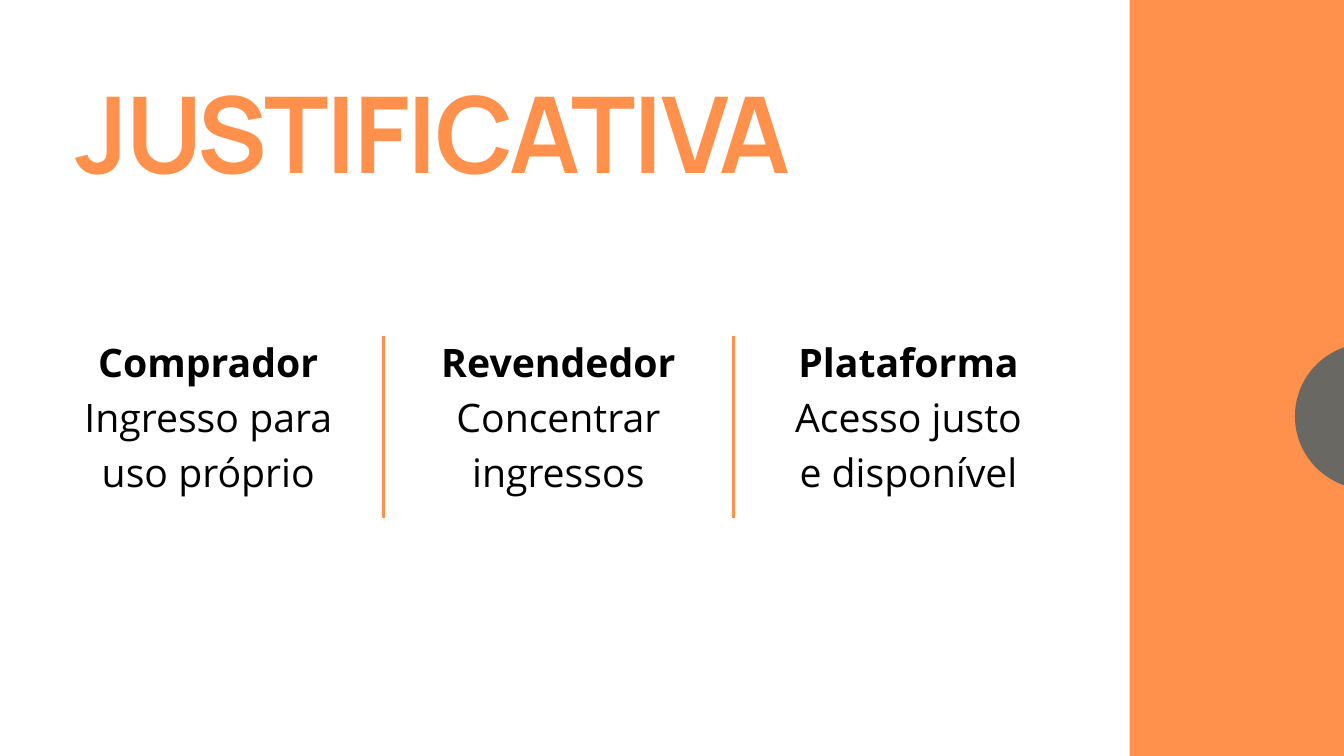
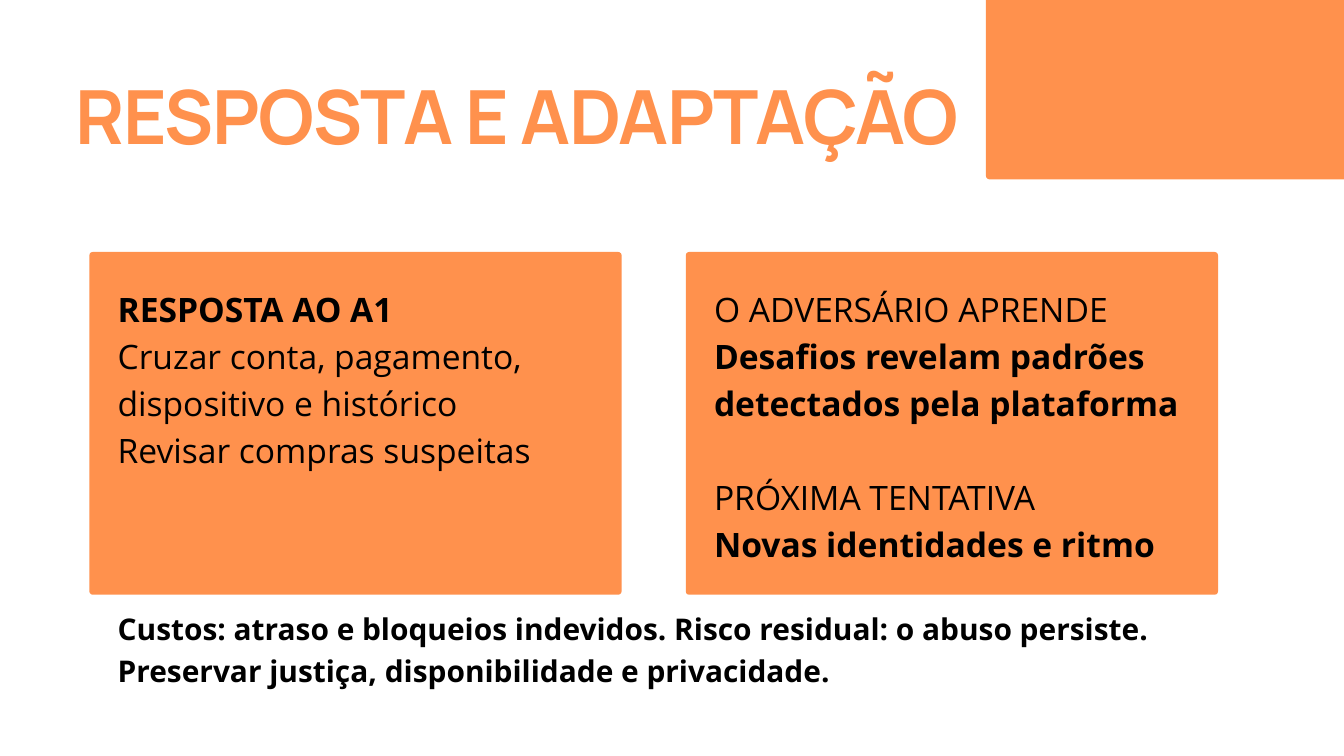
from pptx import Presentation
from pptx.dml.color import RGBColor
from pptx.enum.shapes import MSO_CONNECTOR, MSO_SHAPE
from pptx.enum.text import MSO_ANCHOR, PP_ALIGN
from pptx.oxml.ns import qn
from pptx.util import Inches, Pt
from lxml import etree

STRAIGHT = MSO_CONNECTOR.STRAIGHT
OVAL, ROUNDED = MSO_SHAPE.OVAL, MSO_SHAPE.ROUNDED_RECTANGLE
TOP, MIDDLE = MSO_ANCHOR.TOP, MSO_ANCHOR.MIDDLE
LEFT, CENTER = PP_ALIGN.LEFT, PP_ALIGN.CENTER

COLORS = {"accent": "FF914D", "dot": "696863", "text": "000000", "background": "FFFFFF"}
TITLE_FONT, BODY_FONT = "Manrope", "Open Sans"
TITLE_LEFT, TEXT_WIDTH = 1.12, 14.38
COLUMN_WIDTH, COLUMN_STEP = 3.96, 5.21
CARD_LEFT, CARD_STEP, CARD_PADDING = 1.33, 8.875, 0.42

COLUMNS = [
    [("Comprador", True), ("Ingresso para", False), ("uso próprio", False)],
    [("Revendedor", True), ("Concentrar ingressos", False)],
    [("Plataforma", True), ("Acesso justo", False), ("e disponível", False)],
]
CARDS = [
    [[("RESPOSTA AO A1", True), ("Cruzar conta, pagamento,", False),
      ("dispositivo e histórico", False), ("Revisar compras suspeitas", False)]],
    [[("O ADVERSÁRIO APRENDE", False), ("Desafios revelam padrões", True),
      ("detectados pela plataforma", True)],
     [("PRÓXIMA TENTATIVA", False), ("Novas identidades e ritmo", True)]],
]
COSTS = [
    ("Custos: atraso e bloqueios indevidos. Risco residual: o abuso persiste.", True),
    ("Preservar justiça, disponibilidade e privacidade.", True),
]


def color(name):
    """Return the palette color with the given name."""
    return RGBColor.from_string(COLORS[name])


def apply_format(target, values):
    """Set each named attribute on the target."""
    for name, value in values.items():
        setattr(target, name, value)


def add_blank_slide(presentation):
    """Add a blank slide with the shared background."""
    slide = presentation.slides.add_slide(presentation.slide_layouts[6])
    slide.background.fill.solid()
    slide.background.fill.fore_color.rgb = color("background")
    return slide


def add_filled_shape(slide, kind, box, fill):
    """Add a preset shape with a plain fill and no line."""
    shape = slide.shapes.add_shape(kind, *map(Inches, box))
    shape.shadow.inherit = False
    shape.fill.solid()
    shape.fill.fore_color.rgb = color(fill)
    shape.line.fill.background()
    return shape


def add_panel(slide, box, radius):
    """Add an accent panel whose corners have the given radius in inches."""
    panel = add_filled_shape(slide, ROUNDED, box, "accent")
    panel.adjustments[0] = radius / min(box[2:])


def add_text(slide, box, groups, size, spacing, font=BODY_FONT, fill="text",
             align=LEFT, anchor=TOP, inset=0, tracking=0):
    """Add groups of (text, bold) lines, one line height apart."""
    frame = slide.shapes.add_textbox(*map(Inches, box)).text_frame
    margins = {f"margin_{side}": Inches(inset) for side in ("left", "top", "right", "bottom")}
    apply_format(frame, {"word_wrap": True, "vertical_anchor": anchor, **margins})
    paragraph = frame.paragraphs[0]
    for group_index, group in enumerate(groups):
        for line_index, (text, bold) in enumerate(group):
            if group_index or line_index:
                paragraph = frame.add_paragraph()
            apply_format(paragraph, {"alignment": align, "line_spacing": Pt(spacing)})
            if group_index and not line_index:
                paragraph.space_before = Pt(spacing)
            run = paragraph.add_run()
            run.text = text
            apply_format(run.font, {"name": font, "size": Pt(size), "bold": bold})
            run.font.color.rgb = color(fill)
            if tracking:
                run._r.get_or_add_rPr().set("spc", str(round(tracking * 100)))


def add_title(slide, text, top, height, size, spacing, tracking):
    """Add a slide title in the shared title style."""
    add_text(slide, (TITLE_LEFT, top, TEXT_WIDTH, height), [[(text, True)]], size, spacing,
             font=TITLE_FONT, fill="accent", tracking=tracking)


def add_divider(slide, x, top, bottom):
    """Add a vertical accent line."""
    line = slide.shapes.add_connector(STRAIGHT, *map(Inches, (x, top, x, bottom)))
    line.line.color.rgb = color("accent")
    line.line.width = Pt(3)
    etree.SubElement(line._element.spPr, qn("a:effectLst"))


def build_justification(presentation):
    """Build the slide with three columns."""
    slide = add_blank_slide(presentation)
    add_panel(slide, (16.81, -1.22, 4.12, 12.98), 0.09)
    add_filled_shape(slide, OVAL, (19.27, 5.11, 2.17, 2.17), "dot")
    add_title(slide, "JUSTIFICATIVA", 1.43, 1.58, 113.5, 105.5, -2.3)
    for index, lines in enumerate(COLUMNS):
        left = TITLE_LEFT + index * COLUMN_STEP
        add_text(slide, (left, 4.37, COLUMN_WIDTH, 3.55), [lines], 42, 58.8,
                 align=CENTER, anchor=MIDDLE, inset=0.06)
        if index:
            add_divider(slide, left - (COLUMN_STEP - COLUMN_WIDTH) / 2, 5, 7.71)


def build_response(presentation):
    """Build the slide with two cards and the costs."""
    slide = add_blank_slide(presentation)
    add_title(slide, "RESPOSTA E ADAPTAÇÃO", 1.34, 1.11, 80, 74.4, -1.6)
    add_panel(slide, (14.67, -1.22, 6.27, 3.89), 0.06)
    for index, groups in enumerate(CARDS):
        left = CARD_LEFT + index * CARD_STEP
        height = 2.76 if index == 0 else 4.16
        add_panel(slide, (left, 3.75, 7.92, 5.1), 0.05)
        add_text(slide, (left + CARD_PADDING, 4.2, 7.08, height), groups, 36, 50.4)
    add_text(slide, (CARD_LEFT + CARD_PADDING, 9, 17.71, 1.2), [COSTS], 32, 44.8)


def main():
    """Build and save the presentation."""
    presentation = Presentation()
    presentation.slide_width, presentation.slide_height = Inches(20), Inches(11.25)
    build_justification(presentation)
    build_response(presentation)
    presentation.save("out.pptx")


if __name__ == "__main__":
    main()
